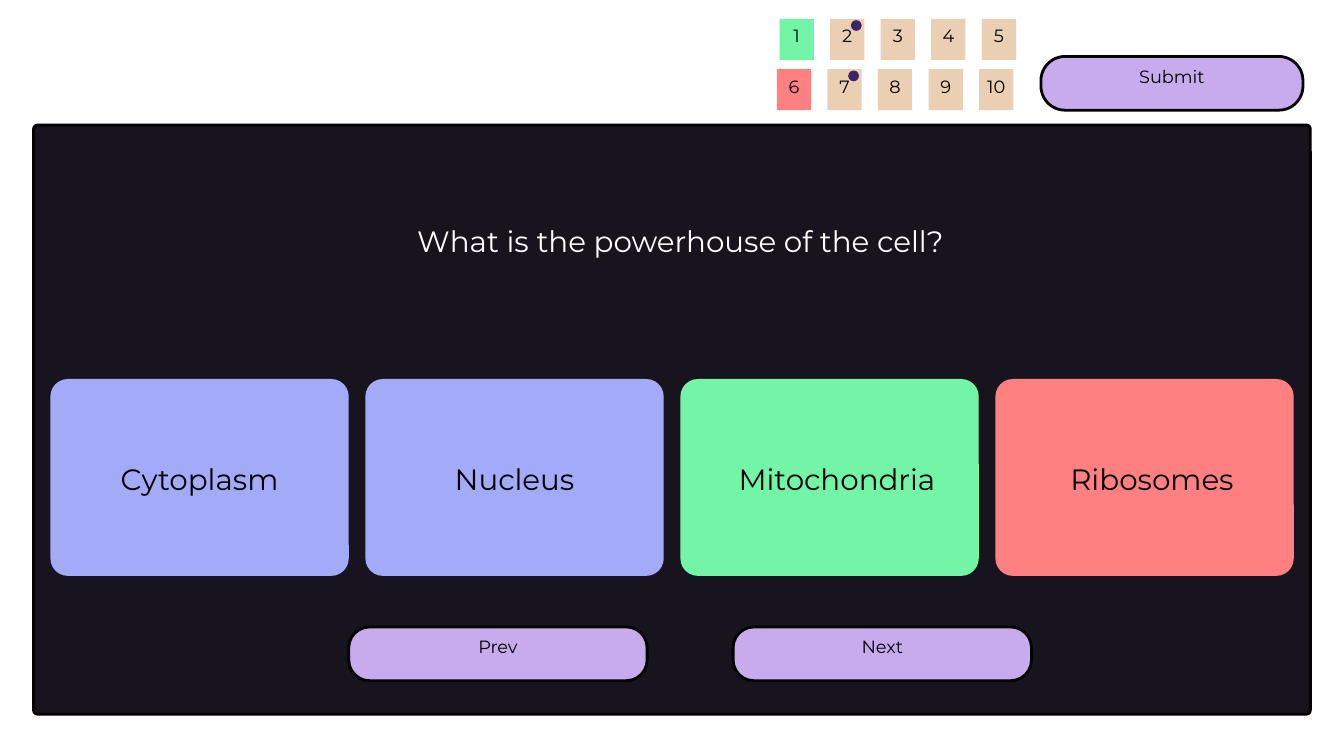
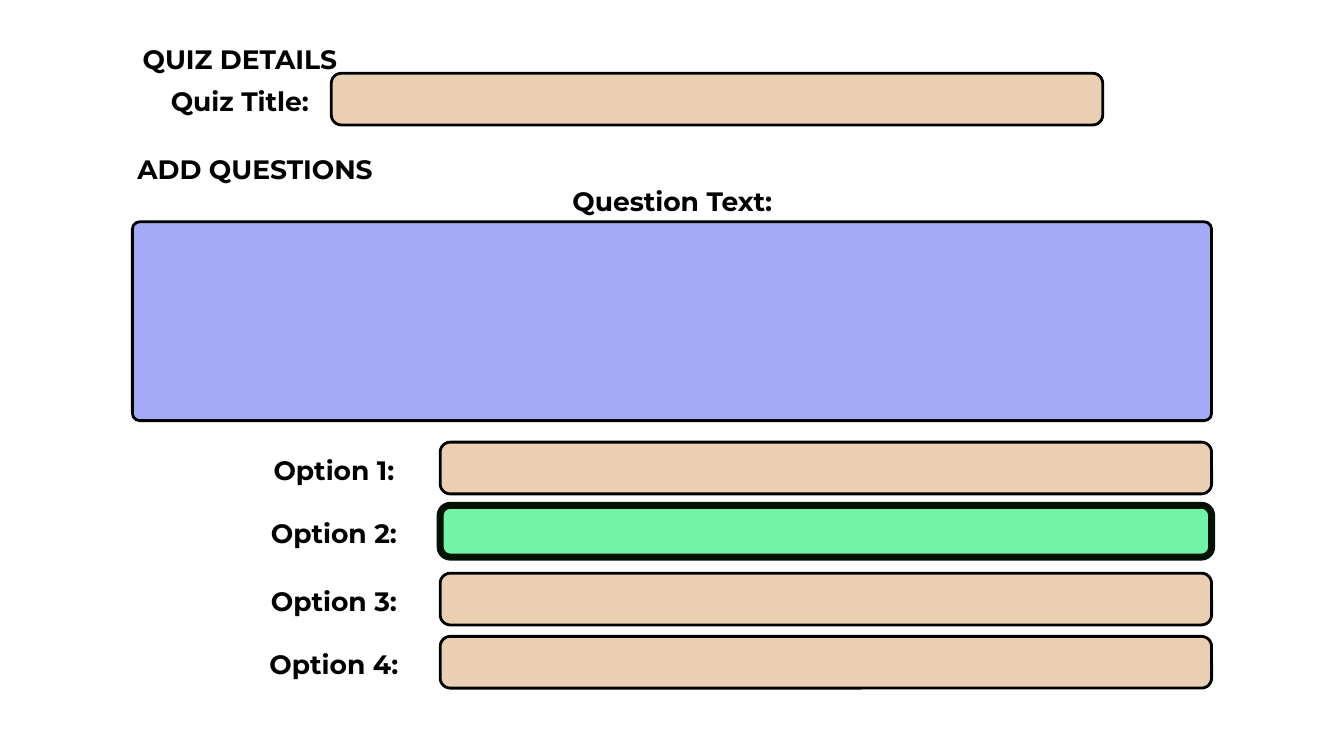
from dataclasses import dataclass

from pptx import Presentation
from pptx.dml.color import RGBColor
from pptx.enum.shapes import MSO_SHAPE
from pptx.enum.text import MSO_ANCHOR, PP_ALIGN
from pptx.util import Emu, Pt

EMU_PER_PX = 9144  # 100 px to the inch


@dataclass(frozen=True)
class Theme:
    font: str = "Montserrat"
    ink: str = "000000"
    white: str = "FFFFFF"
    panel: str = "17141D"
    neutral: str = "A3ABF9"
    correct: str = "72F5A6"
    wrong: str = "FF8080"
    sand: str = "EBCFB2"
    button: str = "C8ABED"
    flag: str = "3B2562"
    chosen_line: str = "041205"
    question_size: float = 31.5
    label_size: float = 28.5
    button_size: float = 19
    leading: float = 1.4
    line: float = 3
    chosen_width: float = 7.5


THEME = Theme()


def px(length):
    return Emu(round(length * EMU_PER_PX))


def box(*lengths):
    return [px(length) for length in lengths]


def rgb(colour):
    return RGBColor.from_string(colour)


def write(frame, text, size, colour=THEME.ink, bold=False,
          anchor=MSO_ANCHOR.TOP, lift=0, shift=0):
    """Write one centred line; lift and shift move it up and right via the insets."""
    frame.word_wrap = True
    frame.vertical_anchor = anchor
    frame.margin_top = frame.margin_right = 0
    frame.margin_bottom, frame.margin_left = px(2 * lift), px(2 * shift)
    paragraph = frame.paragraphs[0]
    paragraph.alignment = PP_ALIGN.CENTER
    paragraph.line_spacing = Pt(round(size * THEME.leading, 1))
    run = paragraph.add_run()
    run.text = text
    run.font.name = THEME.font
    run.font.size = Pt(size)
    run.font.bold = bold
    run.font.color.rgb = rgb(colour)


def add_block(slide, preset, left, top, width, height, fill,
              line=None, line_width=THEME.line):
    block = slide.shapes.add_shape(preset, *box(left, top, width, height))
    block.shadow.inherit = False
    block.fill.solid()
    block.fill.fore_color.rgb = rgb(fill)
    if line:
        block.line.color.rgb = rgb(line)
        block.line.width = Pt(line_width)
    else:
        block.line.fill.background()
    return block


def add_rounded(slide, left, top, width, height, radius, fill, **outline):
    rounded = add_block(slide, MSO_SHAPE.ROUNDED_RECTANGLE,
                        left, top, width, height, fill, **outline)
    rounded.adjustments[0] = radius / min(width, height)
    return rounded


def add_label(slide, text, left, top, width, height=52, **text_format):
    label = slide.shapes.add_textbox(*box(left, top, width, height))
    write(label.text_frame, text, **text_format)


def add_heading(slide, text, left, top, width):
    add_label(slide, text, left, top, width, size=THEME.label_size, bold=True)


def add_button(slide, text, left, top, width, radius):
    button = add_rounded(slide, left, top, width, 80, radius, THEME.button, line=THEME.ink)
    write(button.text_frame, text, THEME.button_size, anchor=MSO_ANCHOR.MIDDLE, lift=13.5)


def add_answer(slide, text, left, fill, shift):
    answer = add_rounded(slide, left, 564, 444, 293, 26, fill)
    write(answer.text_frame, text, THEME.question_size,
          anchor=MSO_ANCHOR.MIDDLE, lift=3, shift=shift)


def add_tile(slide, number, left, top, fill, flagged):
    """Add a question number, with a dot if the question is flagged."""
    tile = add_block(slide, MSO_SHAPE.RECTANGLE, left, top, 51, 61, fill)
    write(tile.text_frame, str(number), THEME.button_size,
          anchor=MSO_ANCHOR.MIDDLE, lift=8)
    if flagged:
        add_block(slide, MSO_SHAPE.OVAL, left + 31, top + 2, 16, 16, THEME.flag)


def add_field(slide, label, label_left, left, top,
              fill=THEME.sand, line=THEME.ink, line_width=THEME.line):
    """Add an empty entry field with its label on the left."""
    add_rounded(slide, left, top, 1148, 77, 15, fill, line=line, line_width=line_width)
    add_heading(slide, label, label_left, top + 9, 236)


def build_quiz(slide):
    add_rounded(slide, 50, 186, 1900, 877, 6, THEME.panel, line=THEME.ink)
    add_label(slide, "What is the powerhouse of the cell?", 125, 323, 1775, 59,
              size=THEME.question_size, colour=THEME.white)

    answers = [
        ("Cytoplasm", THEME.neutral, 0),
        ("Nucleus", THEME.neutral, 0),
        ("Mitochondria", THEME.correct, 11),
        ("Ribosomes", THEME.wrong, 11),
    ]
    for column, (text, fill, shift) in enumerate(answers):
        add_answer(slide, text, 75 + 468.75 * column, fill, shift)

    add_button(slide, "Prev", 519, 933, 444, 31)
    add_button(slide, "Next", 1091, 933, 444, 31)
    add_button(slide, "Submit", 1549, 84, 390, 36)

    results = {1: THEME.correct, 6: THEME.wrong}
    flagged = {2, 7}
    for number in range(1, 11):
        row, column = divmod(number - 1, 5)
        add_tile(slide, number, 1160 - 4 * row + 75.25 * column, 28 + 75 * row,
                 results.get(number, THEME.sand), number in flagged)


def build_editor(slide):
    add_heading(slide, "QUIZ DETAILS", 197, 56, 320)
    add_field(slide, "Quiz Title:", 239, 493, 109)
    add_heading(slide, "ADD QUESTIONS", 197, 220, 365)
    add_heading(slide, "Question Text:", 848, 267, 305)
    add_rounded(slide, 197, 330, 1606, 296, 11, THEME.neutral, line=THEME.ink)

    chosen = {"fill": THEME.correct, "line": THEME.chosen_line,
              "line_width": THEME.chosen_width}
    for number, top in enumerate((658, 752, 853, 947), start=1):
        style = chosen if number == 2 else {}
        add_field(slide, f"Option {number}:", 379, 655, top, **style)


def main():
    deck = Presentation()
    deck.slide_width, deck.slide_height = px(2000), px(1125)
    blank = deck.slide_layouts[6]
    for build in (build_quiz, build_editor):
        build(deck.slides.add_slide(blank))
    deck.save("out.pptx")


if __name__ == "__main__":
    main()
